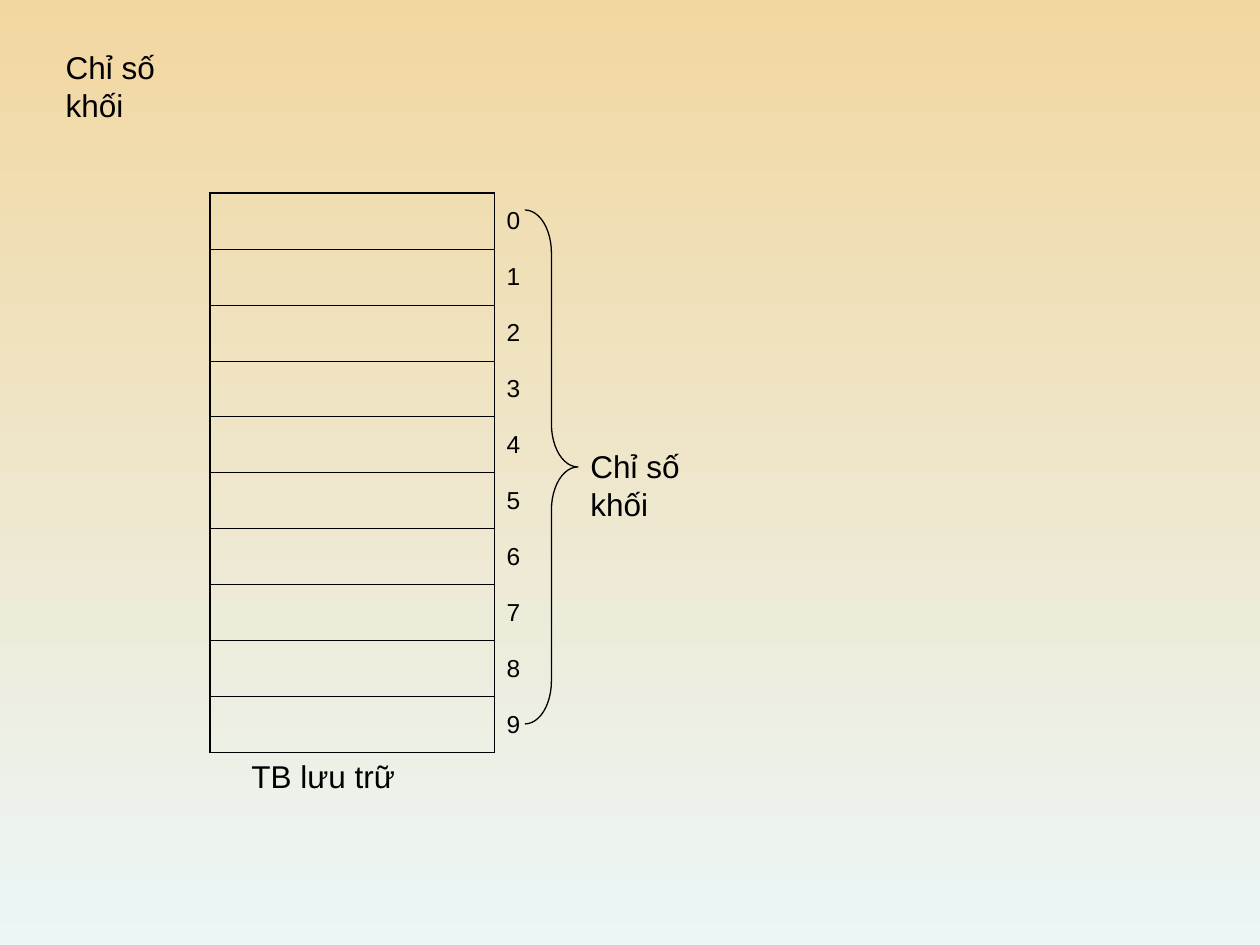
from lxml.etree import SubElement
from pptx import Presentation
from pptx.dml.color import RGBColor as Rgb
from pptx.enum.shapes import MSO_SHAPE as Shape
from pptx.enum.text import MSO_ANCHOR as Anchor, MSO_AUTO_SIZE as AutoSize, PP_ALIGN as Align
from pptx.oxml.ns import qn
from pptx.util import Pt

PX = 914400 // 126
COLORS = {"ink": "000000", "sky": "F2D7A0", "ground": "EBF6F7"}
THIN, THICK = 0.45, 1.08
BLOCKS, ROW_HEIGHT = 10, 56
COLUMN_WIDTHS = (284, 84)


def color(name):
    return Rgb.from_string(COLORS[name])


def set_values(target, values):
    for name, value in values.items():
        setattr(target, name, value)


def place(shape, *box):
    set_values(shape, dict(zip(("left", "top", "width", "height"), (v * PX for v in box))))


def paint_background(slide):
    fill = slide.background.fill
    fill.gradient()
    fill.gradient_angle = 270
    for stop, name in zip(fill.gradient_stops, ("sky", "ground")):
        stop.color.rgb = color(name)


def write(frame, text, size):
    para = frame.paragraphs[0]
    para.alignment = Align.LEFT
    span = para.add_run()
    span.text = text
    set_values(span.font, {"name": "Arial", "size": Pt(size)})
    span.font.color.rgb = color("ink")


def fill_label(shape, text, *box):
    frame = shape.text_frame
    write(frame, text, 18)
    set_values(frame, {"word_wrap": False, "auto_size": AutoSize.SHAPE_TO_FIT_TEXT,
                       "vertical_anchor": Anchor.TOP})
    place(shape, *box)


def set_borders(cell, left=0, right=0, top=0, bottom=0):
    """Draw each side at its width in points; zero means no line."""
    properties = cell._tc.get_or_add_tcPr()
    for side, width in zip("LRTB", (left, right, top, bottom)):
        line = SubElement(properties, qn(f"a:ln{side}"), w=str(Pt(width)))
        if width:
            solid = SubElement(line, qn("a:solidFill"))
            SubElement(solid, qn("a:srgbClr"), val=COLORS["ink"])
        else:
            SubElement(line, qn("a:noFill"))


def add_block_table(slide, left, top):
    frame = slide.shapes.add_table(BLOCKS, len(COLUMN_WIDTHS), left * PX, top * PX,
                                   sum(COLUMN_WIDTHS) * PX, BLOCKS * ROW_HEIGHT * PX)
    table = frame.table
    set_values(table, {"first_row": False, "horz_banding": False})
    for column, width in zip(table.columns, COLUMN_WIDTHS):
        column.width = width * PX
    for index, row in enumerate(table.rows):
        row.height = ROW_HEIGHT * PX
        block, number = row.cells
        set_borders(block, left=THICK, right=THIN,
                    top=THICK if index == 0 else THIN,
                    bottom=THICK if index == BLOCKS - 1 else THIN)
        set_borders(number, left=THIN)
        for cell in (block, number):
            cell.fill.background()
        number.vertical_anchor = Anchor.MIDDLE
        write(number.text_frame, str(index), 14)


def add_brace(slide, *box):
    brace = slide.shapes.add_shape(Shape.RIGHT_BRACE, *(v * PX for v in box))
    brace.adjustments[0] = 0.81
    brace.shadow.inherit = False
    brace.fill.background()
    brace.line.color.rgb = color("ink")
    brace.line.width = Pt(0.75)


def add_label(slide, text, *box):
    fill_label(slide.shapes.add_textbox(0, 0, 0, 0), text, *box)


def main():
    deck = Presentation()
    set_values(deck, {"slide_width": 1260 * PX, "slide_height": 945 * PX})
    slide = deck.slides.add_slide(deck.slide_layouts[5])
    paint_background(slide)
    fill_label(slide.shapes.title, "Chỉ số khối", 53, 42, 180, 51)
    add_block_table(slide, 210, 193)
    add_label(slide, "TB lưu trữ", 239, 751, 169, 51)
    add_brace(slide, 525, 210, 53, 514)
    add_label(slide, "Chỉ số khối", 578, 441, 180, 51)
    deck.save("out.pptx")


if __name__ == "__main__":
    main()
